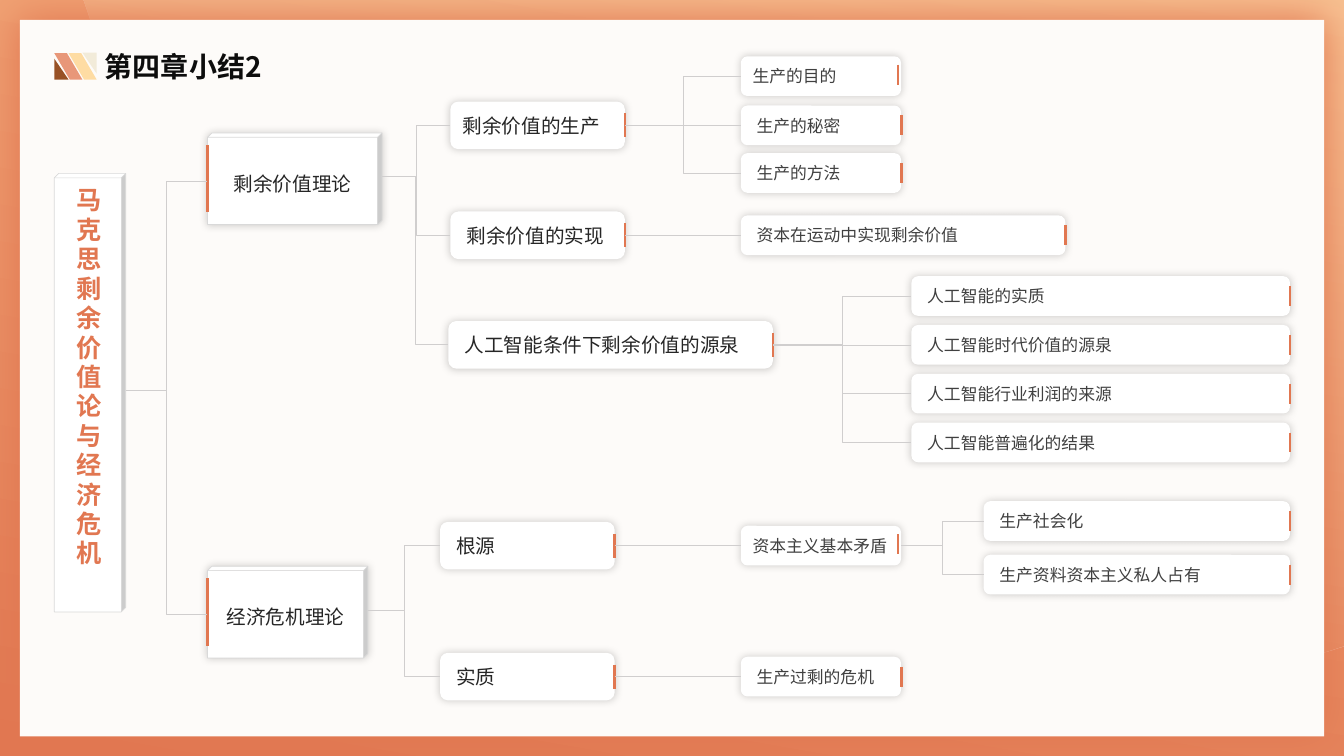
from dataclasses import dataclass

import pptx
import pptx.dml.color
import pptx.enum.shapes
import pptx.enum.text
import pptx.oxml
import pptx.oxml.ns
import pptx.util
from pptx.util import Cm

SHAPE = pptx.enum.shapes.MSO_SHAPE
LINE = pptx.enum.shapes.MSO_CONNECTOR
ALIGN = pptx.enum.text.PP_ALIGN
ANCHOR = pptx.enum.text.MSO_ANCHOR
FONT = "Noto Sans CJK SC"
COLORS = {
    "accent": "E17751", "frame_light": "F4AD7D", "sweep": "FDD5A6",
    "panel": "FDFBF9", "card": "FFFFFF", "edge": "D9D9D9", "link": "D0CECE",
    "title": "0D0D0D", "branch": "262626", "leaf": "404040", "black": "000000",
    "cream": "FEDCA3", "ivory": "F2EBD9", "salmon": "E89779", "brown": "985125",
}


@dataclass
class Card:
    label: str
    left: float
    middle: float
    width: float
    children: tuple = ()
    leaf: bool = True
    indent: float = 0.1
    tick_inset: float = 0


def rgb(name):
    return pptx.dml.color.RGBColor.from_string(COLORS[name])


def sub(parent, tag, **attributes):
    element = pptx.oxml.parse_xml(f"<{tag} {pptx.oxml.ns.nsdecls('a')}/>")
    for key, value in attributes.items():
        element.set(key, str(value))
    parent.append(element)
    return element


def write(shape, text, size, color, bold=False, align=ALIGN.LEFT,
          anchor=ANCHOR.MIDDLE, indent=0, spacing=1.0, tracking=0, vertical=False):
    frame = shape.text_frame
    frame.word_wrap = True
    frame.auto_size = pptx.enum.text.MSO_AUTO_SIZE.NONE
    frame.vertical_anchor = anchor
    if vertical:
        frame._txBody.bodyPr.set("vert", "eaVert")
    paragraph = frame.paragraphs[0]
    paragraph.alignment, paragraph.line_spacing = align, spacing
    if indent:
        paragraph._p.get_or_add_pPr().set("marL", str(Cm(indent)))
    run = paragraph.add_run()
    run.text = text
    run.font.size, run.font.bold, run.font.name = pptx.util.Pt(size), bold, FONT
    run.font.color.rgb = rgb(color)
    properties = run._r.get_or_add_rPr()
    sub(properties, "a:ea", typeface=FONT)
    if tracking:
        properties.set("spc", str(tracking * 100))


def style(shape, fill=None, edge=None, shadow=None):
    """Set fill and outline; shadow is (color, opacity %, blur in points)."""
    shape.shadow.inherit = False
    if fill:
        shape.fill.solid()
        shape.fill.fore_color.rgb = rgb(fill)
    if edge:
        shape.line.color.rgb = rgb(edge)
        shape.line.width = pptx.util.Pt(0.5)
    else:
        shape.line.fill.background()
    if shadow:
        color, opacity, blur = shadow
        effects = shape._element.spPr.find(pptx.oxml.ns.qn("a:effectLst"))
        outer = sub(effects, "a:outerShdw", blurRad=pptx.util.Pt(blur), dist=0,
                    algn="ctr", rotWithShape=0)
        tint = sub(outer, "a:srgbClr", val=COLORS[color])
        sub(tint, "a:alpha", val=opacity * 1000)


def block(slide, kind, left, top, width, height, **look):
    shape = slide.shapes.add_shape(kind, Cm(left), Cm(top), Cm(width), Cm(height))
    style(shape, **look)
    return shape


def gradient(shape, end_color, end_opacity=100):
    shape.fill.gradient()
    shape.fill.gradient_angle = 80
    for stop, color, position in zip(shape.fill.gradient_stops, ("accent", end_color), (0, 1)):
        stop.color.rgb, stop.position = rgb(color), position
    if end_opacity < 100:
        tint = shape._element.spPr.findall(".//" + pptx.oxml.ns.qn("a:srgbClr"))[-1]
        sub(tint, "a:alpha", val=end_opacity * 1000)


def stroke(slide, kind, start, end, color, weight):
    line = slide.shapes.add_connector(kind, *start, *end)
    line.line.color.rgb = rgb(color)
    line.line.width = pptx.util.Pt(weight)
    sub(line._element.spPr, "a:effectLst")
    return line


def tick(slide, x, top, length):
    stroke(slide, LINE.STRAIGHT, (Cm(x), Cm(top)), (Cm(x), Cm(top + length)), "accent", 2)


def is_cube(shape):
    return shape.auto_shape_type == SHAPE.CUBE


def side(shape, right):
    """Point where a link meets the left or right side; a cube's sides are offset by its depth."""
    depth = shape.adjustments[0] * min(shape.width, shape.height) if is_cube(shape) else 0
    shift = -depth if right else depth
    return shape.left + shape.width * right, int(shape.top + (shape.height + shift) / 2)


def link(slide, parent, child):
    start, end = side(parent, True), side(child, False)
    level = abs(start[1] - end[1]) < Cm(0.05)
    line = stroke(slide, LINE.STRAIGHT if level else LINE.ELBOW, start, end, "link", 0.5)
    if not is_cube(parent):
        line.begin_connect(parent, 3)
    if not is_cube(child):
        line.end_connect(child, 1)


def cube(slide, left, top, width, height, depth, **look):
    shape = block(slide, SHAPE.CUBE, left, top, width, height, fill="card", edge="edge", **look)
    shape.adjustments[0] = depth
    return shape


def theory(slide, root, label, top, width, cards):
    shape = cube(slide, 5.23, top, width, 2.31, 0.048, shadow=("black", 20, 6))
    write(shape, label, 14, "branch", align=ALIGN.CENTER, spacing=1.2)
    tick(slide, 5.23, top + 0.3, 1.7)
    link(slide, root, shape)
    for card in cards:
        draw_card(slide, shape, card)


def draw_card(slide, parent, card):
    height, size, color, length = (1, 12, "leaf", 0.5) if card.leaf else (1.2, 14, "branch", 0.6)
    shape = block(slide, SHAPE.ROUNDED_RECTANGLE, card.left, card.middle - height / 2,
                  card.width, height, fill="card", shadow=("black", 20, 6))
    write(shape, card.label, size, color, indent=card.indent)
    link(slide, parent, shape)
    tick(slide, card.left + card.width - card.tick_inset,
         card.middle - length / 2 - card.tick_inset / 2, length)
    for child in card.children:
        draw_card(slide, shape, child)


def backdrop(slide):
    gradient(block(slide, SHAPE.RECTANGLE, 0, 0, 33.87, 19.05), "frame_light")
    # Sweep: straight top and right edges, closed by one curve
    curve = ((33.4, 16.41), (25.96, 17.53), (9.17, 17.53), (2.49, 1.12))
    weights = [((1 - t) ** 3, 3 * t * (1 - t) ** 2, 3 * t * t * (1 - t), t ** 3)
               for t in (step / 24 for step in range(25))]
    points = [tuple(Cm(sum(w * p[axis] for w, p in zip(ws, curve))) for axis in (0, 1))
              for ws in weights]
    outline = slide.shapes.build_freeform(Cm(2.11), 0)
    outline.add_line_segments([(Cm(33.87), 0), (Cm(33.87), Cm(16.26))] + points)
    sweep = outline.convert_to_shape()
    style(sweep)
    gradient(sweep, "sweep", 50)
    block(slide, SHAPE.RECTANGLE, 0.5, 0.5, 32.87, 18.06,
          fill="panel", shadow=("accent", 100, 30))


def heading(slide):
    title = slide.shapes.title
    title.left, title.top, title.width, title.height = Cm(2.39), Cm(1.12), Cm(4.93), Cm(1.96)
    write(title, "第四章小结2", 20, "title", bold=True, anchor=ANCHOR.TOP)
    title._element.getparent().append(title._element)  # bring in front of the panel
    # Striped mark
    for kind, left, top, width, height, color, flips in (
            (SHAPE.PARALLELOGRAM, 1.73, 1.34, 0.71, 0.67, "cream", ("flipH",)),
            (SHAPE.RIGHT_TRIANGLE, 2.08, 1.33, 0.36, 0.53, "ivory", ("flipH", "flipV")),
            (SHAPE.PARALLELOGRAM, 1.37, 1.34, 0.71, 0.67, "salmon", ("flipH",)),
            (SHAPE.RIGHT_TRIANGLE, 1.37, 1.48, 0.36, 0.53, "brown", ())):
        stripe = block(slide, kind, left, top, width, height, fill=color)
        if kind == SHAPE.PARALLELOGRAM:
            stripe.adjustments[0] = 0.585
        for flip in flips:
            stripe._element.spPr.xfrm.set(flip, "1")


def main():
    deck = pptx.Presentation()
    deck.slide_width, deck.slide_height = Cm(33.87), Cm(19.05)
    slide = deck.slides.add_slide(deck.slide_layouts[5])
    backdrop(slide)
    heading(slide)

    # Root of the mind map
    root = cube(slide, 1.37, 4.37, 1.8, 11.05, 0.063)
    write(root, "马克思剩余价值论与经济危机", 18, "accent", bold=True,
          align=ALIGN.CENTER, tracking=3, vertical=True)

    # Surplus value
    production = (Card("生产的目的", 18.67, 1.92, 4.04, indent=0, tick_inset=0.08),
                  Card("生产的秘密", 18.67, 3.16, 4.04),
                  Card("生产的方法", 18.67, 4.36, 4.04))
    realisation = (Card("资本在运动中实现剩余价值", 18.67, 5.93, 8.18),)
    intelligence = tuple(
        Card(label, 22.97, 7.46 + 1.23 * row, 9.54) for row, label in enumerate((
            "人工智能的实质", "人工智能时代价值的源泉",
            "人工智能行业利润的来源", "人工智能普遍化的结果")))
    theory(slide, root, "剩余价值理论", 3.35, 4.4, (
        Card("剩余价值的生产", 11.35, 3.16, 4.4, production, leaf=False, indent=0),
        Card("剩余价值的实现", 11.35, 5.93, 4.4, realisation, leaf=False),
        Card("人工智能条件下剩余价值的源泉", 11.3, 8.69, 8.18, intelligence, leaf=False)))

    # Economic crisis
    contradiction = (Card("生产社会化", 24.79, 13.13, 7.72),
                     Card("生产资料资本主义私人占有", 24.79, 14.48, 7.72))
    origin = (Card("资本主义基本矛盾", 18.67, 13.75, 4.04, contradiction,
                   indent=0, tick_inset=0.08),)
    essence = (Card("生产过剩的危机", 18.67, 17.05, 4.04),)
    theory(slide, root, "经济危机理论", 14.27, 4.04, (
        Card("根源", 11.09, 13.75, 4.4, origin, leaf=False),
        Card("实质", 11.09, 17.05, 4.4, essence, leaf=False)))

    deck.save("out.pptx")


if __name__ == "__main__":
    main()
